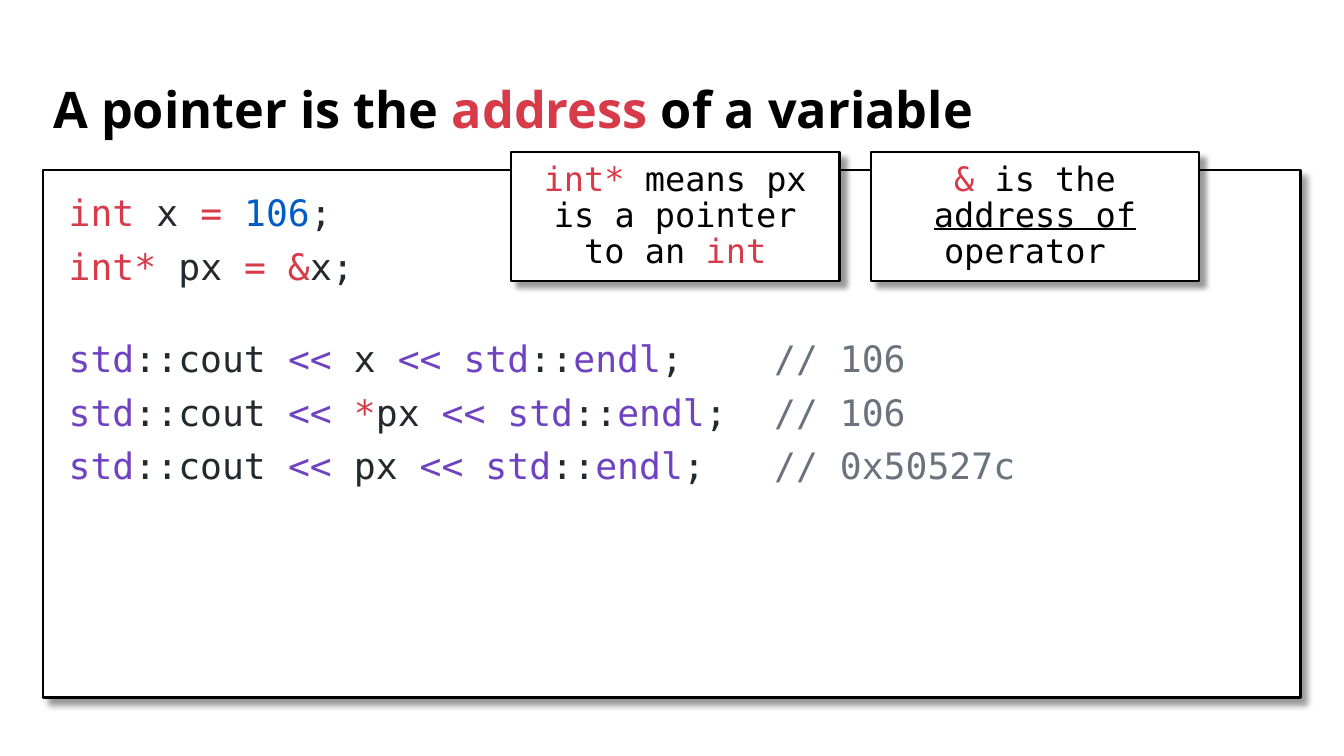
from lxml import etree
from pptx import Presentation
from pptx import util as u
from pptx.dml.color import RGBColor
from pptx.enum import shapes, text
from pptx.oxml import ns

BLACK = RGBColor(0x00, 0x00, 0x00)
WHITE = RGBColor(0xFF, 0xFF, 0xFF)
RED = RGBColor(0xD7, 0x3A, 0x49)
BLUE = RGBColor(0x00, 0x5C, 0xC5)
PURPLE = RGBColor(0x6F, 0x42, 0xC1)
DARK = RGBColor(0x24, 0x29, 0x2E)
GRAY = RGBColor(0x6A, 0x73, 0x7D)
MONO = "DejaVu Sans Mono"
LEFT, WIDTH = u.Pt(31), u.Pt(898)

presentation = Presentation()
presentation.slide_width, presentation.slide_height = u.Pt(960), u.Pt(540)
slide = presentation.slides.add_slide(presentation.slide_layouts[6])


def add_runs(paragraph, pieces, font_name, size):
    paragraph.line_spacing = 0.9
    for words, color in pieces:
        run = paragraph.add_run()
        run.text = words
        run.font.name = font_name
        run.font.size = u.Pt(size)
        run.font.color.rgb = color


def add_panel(left, top, width, height):
    """Add a white, outlined rectangle with a soft shadow."""
    panel = slide.shapes.add_shape(shapes.MSO_SHAPE.RECTANGLE, left, top, width, height)
    panel.fill.solid()
    panel.fill.fore_color.rgb = WHITE
    panel.line.color.rgb = BLACK
    panel.line.width = u.Pt(1.5)
    panel.shadow.inherit = False
    effects = panel._element.spPr.find(ns.qn("a:effectLst"))
    shadow = etree.SubElement(effects, ns.qn("a:outerShdw"), blurRad=str(u.Pt(4)),
                              dist=str(u.Pt(6)), dir="2700000", algn="tl", rotWithShape="0")
    color = etree.SubElement(shadow, ns.qn("a:srgbClr"), val=str(BLACK))
    etree.SubElement(color, ns.qn("a:alpha"), val="40000")
    frame = panel.text_frame
    frame.word_wrap = True
    frame.margin_left = frame.margin_right = u.Pt(18)
    frame.margin_top = frame.margin_bottom = u.Pt(18)
    return frame


# Title
title = slide.shapes.add_textbox(LEFT, u.Pt(49.7), WIDTH, u.Pt(60.5)).text_frame
title.word_wrap = True
title.vertical_anchor = text.MSO_ANCHOR.MIDDLE
add_runs(title.paragraphs[0],
         [("A pointer is the ", BLACK), ("address", RED), (" of a variable", BLACK)],
         "Open Sans", 36)
for run in title.paragraphs[0].runs:
    run.font.bold = True

# Code: declarations, then one output line per printed expression
code_lines = [
    [("int", RED), (" x ", DARK), ("= ", RED), ("106", BLUE), (";", DARK)],
    [("int* ", RED), ("px ", DARK), ("= &", RED), ("x;", DARK)],
]
outputs = [
    ([("x ", DARK)], "106"),
    ([("*", RED), ("px ", DARK)], "106"),
    ([("px ", DARK)], "0x50527c"),
]
for expression, printed in outputs:
    code_lines.append([("std", PURPLE), ("::cout ", DARK), ("<< ", PURPLE), *expression,
                       ("<< std", PURPLE), ("::", DARK), ("endl", PURPLE), (";", DARK),
                       ("\t// " + printed, GRAY)])

code = add_panel(LEFT, u.Pt(121.7), WIDTH, u.Pt(376.6))
code.vertical_anchor = text.MSO_ANCHOR.TOP
for number, pieces in enumerate(code_lines):
    paragraph = code.paragraphs[0] if number == 0 else code.add_paragraph()
    paragraph.alignment = text.PP_ALIGN.LEFT
    if number > 0:
        paragraph.space_before = u.Pt(38 if number == 2 else 10)
    if number >= 2:
        tabs = etree.SubElement(paragraph._p.get_or_add_pPr(), ns.qn("a:tabLst"))
        etree.SubElement(tabs, ns.qn("a:tab"), pos=str(u.Pt(504)), algn="l")
    add_runs(paragraph, pieces, MONO, 26)

# Callouts
callouts = [
    [("int*", RED), (" means px is a pointer to an ", BLACK), ("int", RED)],
    [("&", RED), (" is the ", BLACK), ("address of ", BLACK), ("operator ", BLACK)],
]
for column, pieces in enumerate(callouts):
    callout = add_panel(u.Pt(365 + 257 * column), u.Pt(108.7), u.Pt(234.7), u.Pt(92.2))
    callout.vertical_anchor = text.MSO_ANCHOR.MIDDLE
    callout.paragraphs[0].alignment = text.PP_ALIGN.CENTER
    add_runs(callout.paragraphs[0], pieces, MONO, 24)
    for run in callout.paragraphs[0].runs:
        if run.text == "address of ":
            run.font.underline = True

presentation.save("out.pptx")
